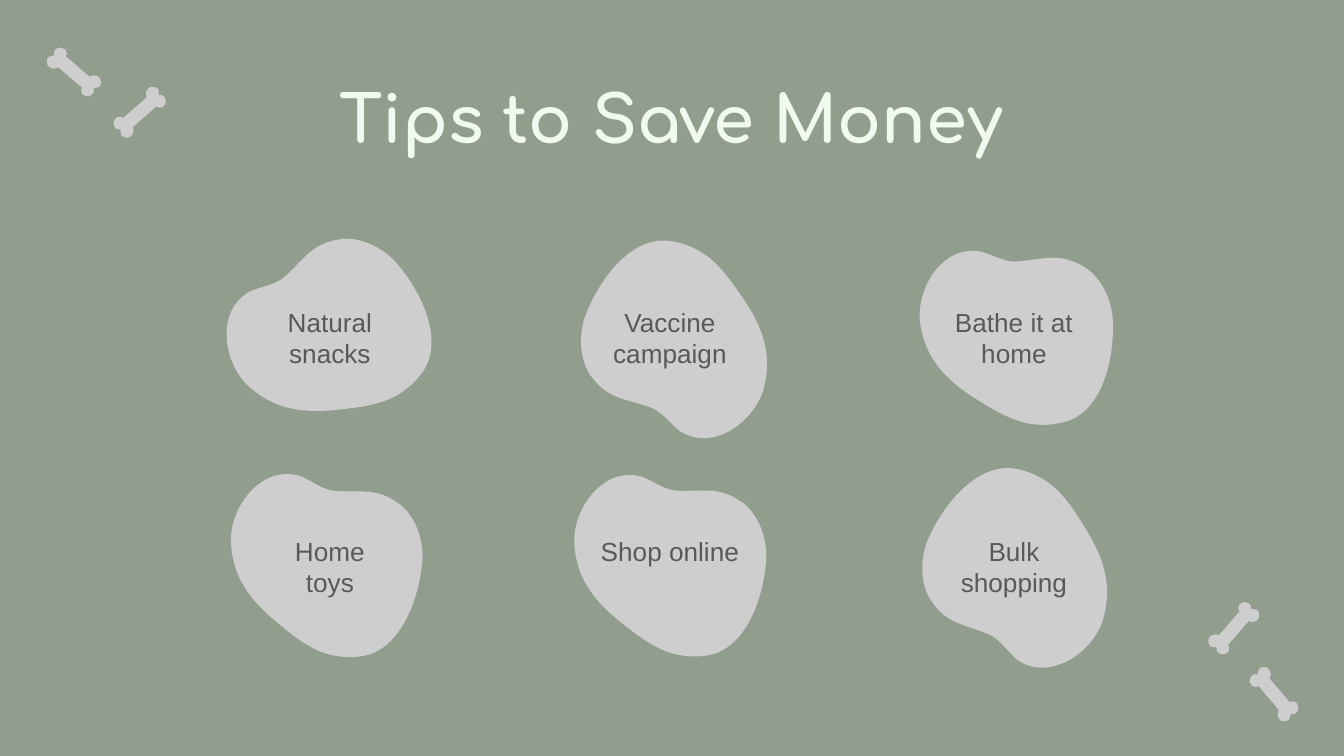
"""Build the slide "Tips to Save Money" with six blobs and two pairs of bones."""
from dataclasses import dataclass

from lxml import etree
from pptx import Presentation
from pptx.dml.color import RGBColor
from pptx.enum.text import MSO_ANCHOR, MSO_AUTO_SIZE, PP_ALIGN
from pptx.oxml.ns import qn
from pptx.util import Inches, Pt

TOP, FIXED, MID = MSO_ANCHOR.TOP, MSO_AUTO_SIZE.NONE, PP_ALIGN.CENTER


@dataclass(frozen=True)
class Theme:
    back: RGBColor = RGBColor.from_string("919E8D")
    shape: RGBColor = RGBColor.from_string("CECECE")
    head: RGBColor = RGBColor.from_string("F1FAEE")
    text: RGBColor = RGBColor.from_string("595959")
    big: int = Pt(35)
    small: int = Pt(14)


def write(box, text, font, color):
    frame = box.text_frame
    frame.text = text
    pad = Inches(0.1)
    form = dict(word_wrap=True, auto_size=FIXED, vertical_anchor=TOP, margin_left=pad,
                margin_right=pad, margin_top=pad, margin_bottom=pad)
    for key, val in form.items():
        setattr(frame, key, val)
    for para in frame.paragraphs:
        para.alignment = MID
        for key, val in font.items():
            setattr(para.font, key, val)
        para.font.color.rgb = color


def draw(shapes, size, curve, left, top, turn, flip=False):
    wide, high = (Inches(n) for n in size)
    pen = shapes.build_freeform(0, 0, scale=1.0)
    pen.add_line_segments([(wide, 0), (wide, high), (0, high)])
    form = pen.convert_to_shape(Inches(left), Inches(top))
    track = next(form._element.iter(qn("a:path")))
    del track[:]
    for step in range(0, len(curve) + 2, 3):
        spots = curve[max(step - 2, 0):step + 1]
        tag = "a:cubicBezTo" if step else "a:moveTo"
        part = etree.SubElement(track, qn(tag))
        for x, y in spots:
            spot = etree.SubElement(part, qn("a:pt"))
            spot.set("x", str(Inches(size[0] - x if flip else x)))
            spot.set("y", str(Inches(y)))
    etree.SubElement(track, qn("a:close"))
    form.rotation = turn
    form.shadow.inherit = False
    form.fill.solid()
    form.fill.fore_color.rgb = theme.shape
    form.line.fill.background()


theme = Theme()
deck = Presentation()
deck.slide_width = Inches(10)
deck.slide_height = deck.slide_width * 9 // 16
slide = deck.slides.add_slide(deck.slide_layouts[5])
slide.background.fill.solid()
slide.background.fill.fore_color.rgb = theme.back

title = slide.shapes.title
place = dict(left=0.65, top=0.48, width=8.69, height=0.63)
for key, val in place.items():
    setattr(title, key, Inches(val))
write(title, "Tips to Save Money", dict(name="Comfortaa", size=theme.big, bold=True), theme.head)

BLOB = (1.54, 1.25)
blob = [
    (0.56, 0), (0.49, 0), (0.42, 0.01), (0.34, 0.04),
    (0.07, 0.14), (0.01, 0.54), (0.06, 0.85),
    (0.06, 0.85), (0.10, 1.09), (0.30, 1.20),
    (0.37, 1.23), (0.43, 1.25), (0.50, 1.25),
    (0.61, 1.25), (0.73, 1.20), (0.84, 1.19),
    (0.94, 1.19), (1.01, 1.23), (1.09, 1.24),
    (1.38, 1.26), (1.54, 0.91), (1.48, 0.66),
    (1.42, 0.43), (1.28, 0.28), (1.02, 0.15),
    (0.86, 0.07), (0.71, 0), (0.56, 0),
]
cols, rows = (1.84, 4.37, 6.93), (2.18, 3.88)
tips = [
    [("Natural snacks", 1.69, 147.5), ("Vaccine campaign", 4.31, 29.2),
     ("Bathe it at home", 6.78, 185.7)],
    [("Home\ntoys", 1.63, 193.5), ("Shop online", 4.19, 192), ("Bulk shopping", 6.85, 32.1)],
]
for row, line in zip(rows, tips):
    for col, (tip, left, turn) in zip(cols, line):
        draw(slide.shapes, BLOB, blob, left, row - 0.29, turn)
        box = slide.shapes.add_textbox(*(Inches(n) for n in (col, row, 1.23, 0.68)))
        write(box, tip, dict(name="Arial", size=theme.small), theme.text)

BONE = (0.44, 0.29)
half = [
    (0.38, 0), (0.39, 0.01), (0.41, 0.03),
    (0.41, 0.04), (0.41, 0.06), (0.40, 0.08),
    (0.41, 0.08), (0.42, 0.09), (0.43, 0.10),
    (0.44, 0.13), (0.43, 0.16), (0.40, 0.17),
    (0.40, 0.17), (0.39, 0.18), (0.38, 0.17),
    (0.37, 0.17), (0.36, 0.17), (0.35, 0.15),
    (0.28, 0.18), (0.20, 0.20), (0.13, 0.23),
    (0.13, 0.26), (0.12, 0.28), (0.08, 0.29),
]
bone = [(0.36, 0)] + half + [(BONE[0] - x, BONE[1] - y) for x, y in half]
pairs = [
    (False, [(0.82, 0.69, 338.1), (0.33, 0.39, 240)]),
    (True, [(8.96, 4.53, 111.9), (9.26, 5.02, 210)]),
]
for flip, spots in pairs:
    group = slide.shapes.add_group_shape()
    for left, top, turn in spots:
        draw(group.shapes, BONE, bone, left, top, turn, flip)

deck.save("out.pptx")
